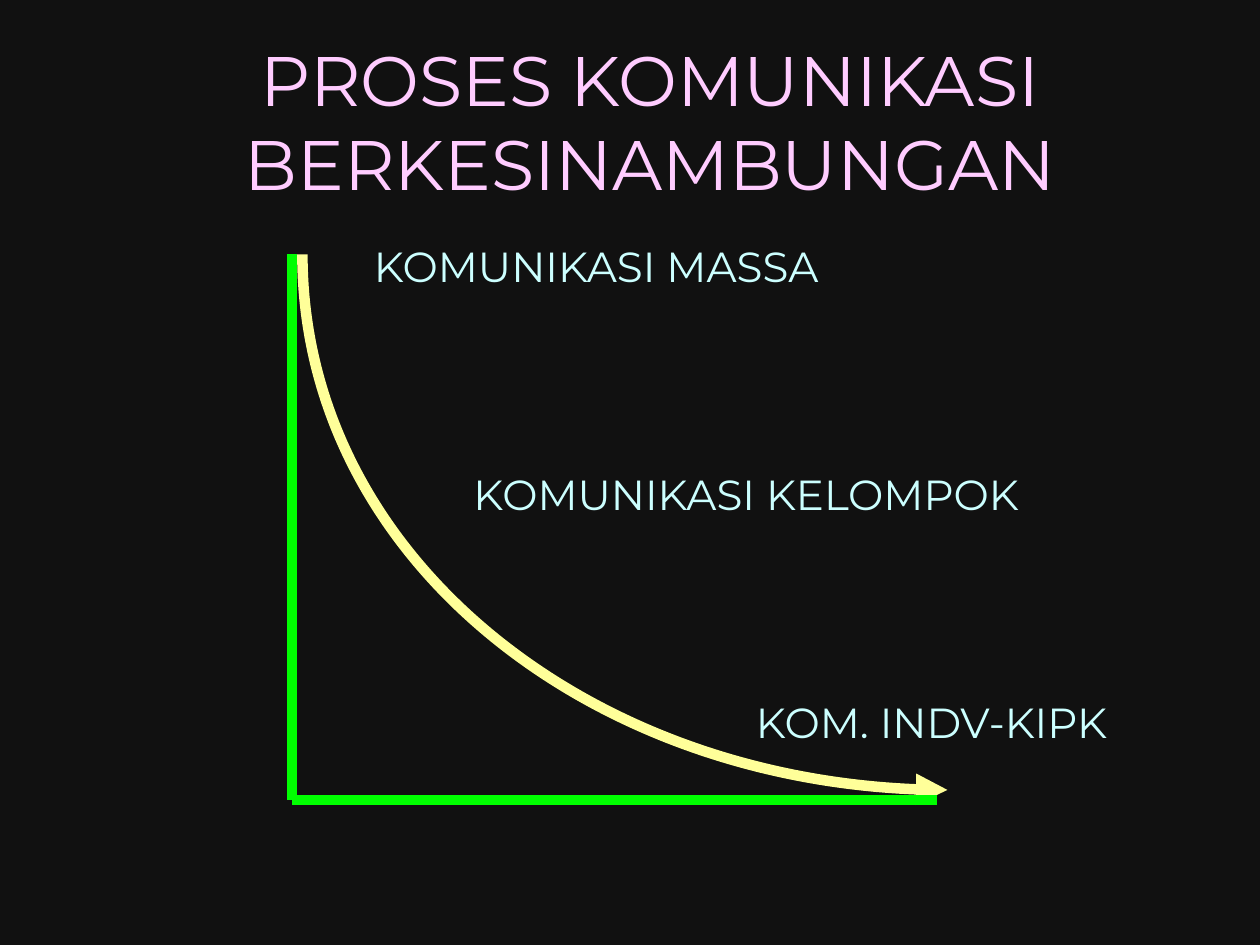
from dataclasses import dataclass

from lxml import etree
from pptx import Presentation
from pptx import util as u
from pptx.dml.color import RGBColor
from pptx.enum import shapes, text
from pptx.oxml import ns


@dataclass(frozen=True)
class Theme:
    font: str = "Montserrat"
    background: str = "111111"
    title: str = "FFCCFF"
    label: str = "CCFFFF"
    axis: str = "00FF00"
    curve: str = "FFFF99"
    title_size: float = 40
    label_size: float = 24
    stroke: float = 6


@dataclass(frozen=True)
class Label:
    words: str
    left: float
    width: float


THEME = Theme()
LABELS = (
    Label("KOMUNIKASI MASSA", 206.6, 295.2),
    Label("KOMUNIKASI KELOMPOK", 263.5, 391),
    Label("KOM. INDV-KIPK", 424.8, 295.2),
)
LABEL_TOP, LABEL_STEP, LABEL_HEIGHT = 133.9, 130.35, 36
AXIS_LEFT, AXIS_TOP, AXIS_RIGHT, AXIS_BOTTOM = 167, 145.4, 535.7, 457.2
CURVE_LEFT, CURVE_RIGHT, CURVE_BOTTOM = 172.8, 541.4, 451.4
ARC = 0.55  # Bezier handle length for a quarter ellipse


def write(frame, words: str, *, size: float, color: str,
          align=text.PP_ALIGN.LEFT, anchor=text.MSO_ANCHOR.TOP) -> None:
    frame.word_wrap = True
    frame.vertical_anchor = anchor
    para = frame.paragraphs[0]
    para.alignment = align
    span = para.add_run()
    span.text = words
    span.font.name = THEME.font
    span.font.size = u.Pt(size)
    span.font.color.rgb = RGBColor.from_string(color)


def stroke(line, color: str) -> None:
    line.width = u.Pt(THEME.stroke)
    line.color.rgb = RGBColor.from_string(color)


def add_axis(page, x1: float, y1: float, x2: float, y2: float) -> None:
    axis = page.shapes.add_connector(
        shapes.MSO_CONNECTOR.STRAIGHT, u.Pt(x1), u.Pt(y1), u.Pt(x2), u.Pt(y2))
    stroke(axis.line, THEME.axis)
    etree.SubElement(axis._element.spPr, ns.qn("a:effectLst"))


def add_curve(page) -> None:
    builder = page.shapes.build_freeform(u.Pt(CURVE_RIGHT), u.Pt(CURVE_BOTTOM))
    builder.add_line_segments([(u.Pt(CURVE_LEFT), u.Pt(AXIS_TOP))], close=False)
    curve = builder.convert_to_shape()
    curve.shadow.inherit = False
    curve.fill.background()
    stroke(curve.line, THEME.curve)

    # Bend the straight segment into a quarter ellipse
    segment = next(curve._element.iter(ns.qn("a:lnTo")))
    bend = etree.Element(ns.qn("a:cubicBezTo"))
    handles = ((round(curve.width * (1 - ARC)), curve.height),
               (0, round(curve.height * ARC)), (0, 0))
    for x, y in handles:
        etree.SubElement(bend, ns.qn("a:pt"), x=str(x), y=str(y))
    segment.getparent().replace(segment, bend)

    # The arrowhead sits at the lower right, where the path starts
    outline = curve._element.spPr.find(ns.qn("a:ln"))
    etree.SubElement(outline, ns.qn("a:headEnd"), type="triangle")


def add_label(page, label: Label, top: float) -> None:
    box = page.shapes.add_textbox(u.Pt(label.left), u.Pt(top),
                                  u.Pt(label.width), u.Pt(LABEL_HEIGHT))
    write(box.text_frame, label.words, size=THEME.label_size, color=THEME.label)


def add_title(page, words: str) -> None:
    title = page.shapes.title
    title.left, title.top = u.Pt(54), u.Pt(48.2)
    title.width, title.height = u.Pt(635), u.Pt(90)
    frame = title.text_frame
    frame.auto_size = text.MSO_AUTO_SIZE.NONE
    frame.margin_bottom = u.Pt(52)  # lifts the two lines clear of the chart
    write(frame, words, size=THEME.title_size, color=THEME.title,
          align=text.PP_ALIGN.CENTER, anchor=text.MSO_ANCHOR.MIDDLE)


def main() -> None:
    deck = Presentation()
    deck.slide_width, deck.slide_height = u.Pt(720), u.Pt(540)
    page = deck.slides.add_slide(deck.slide_layouts[5])
    page.background.fill.solid()
    page.background.fill.fore_color.rgb = RGBColor.from_string(THEME.background)

    add_title(page, "PROSES KOMUNIKASI BERKESINAMBUNGAN")

    # Falling curve and its two axes
    add_curve(page)
    add_axis(page, AXIS_LEFT, AXIS_TOP, AXIS_LEFT, AXIS_BOTTOM)
    add_axis(page, AXIS_LEFT, AXIS_BOTTOM, AXIS_RIGHT, AXIS_BOTTOM)

    # Stages along the curve
    for row, label in enumerate(LABELS):
        add_label(page, label, LABEL_TOP + row * LABEL_STEP)

    deck.save("out.pptx")


if __name__ == "__main__":
    main()
